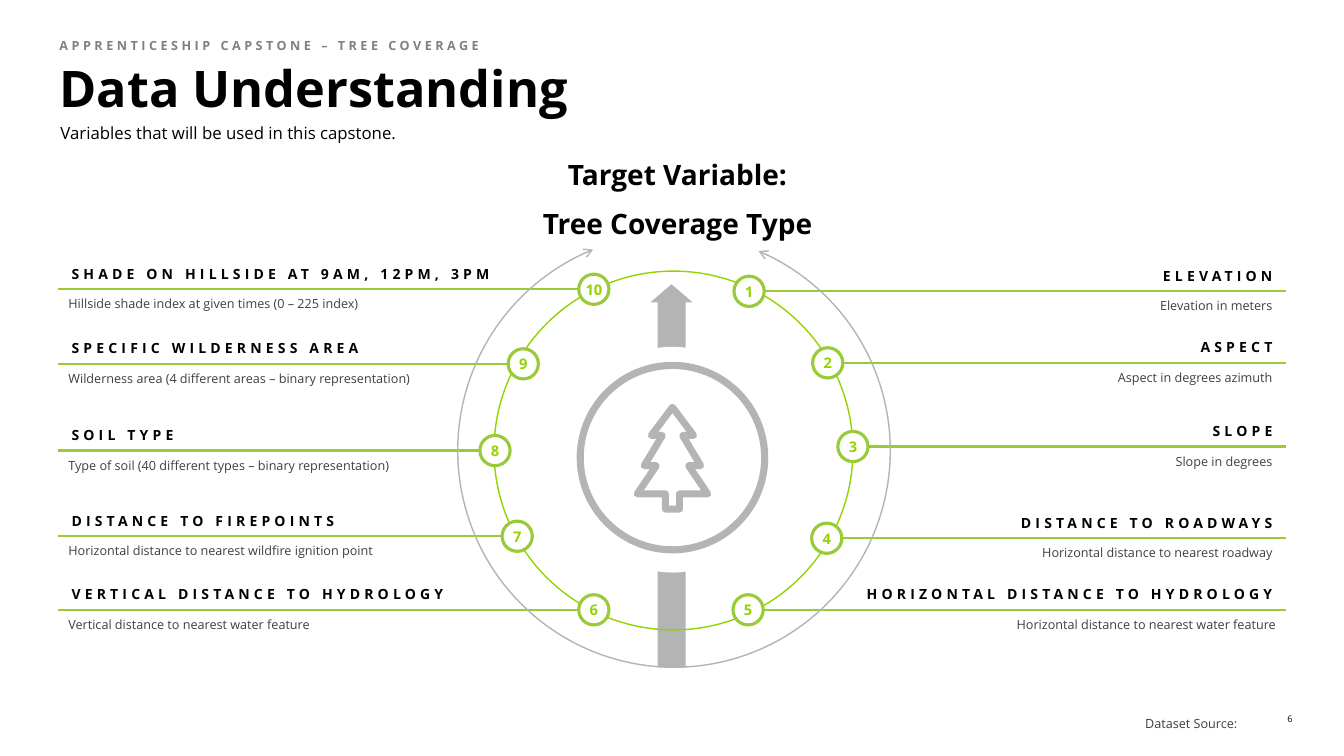
from dataclasses import dataclass

from lxml.etree import SubElement
from pptx import Presentation
from pptx.dml.color import RGBColor
from pptx.enum.shapes import MSO_CONNECTOR as Connector, MSO_SHAPE as Shape
from pptx.enum.text import MSO_ANCHOR as Anchor, MSO_AUTO_SIZE as AutoSize, PP_ALIGN as Align
from pptx.oxml.ns import qn
from pptx.util import Inches, Pt

KICKER = "APPRENTICESHIP CAPSTONE – TREE COVERAGE"
TITLE = "Data Understanding"
SUBTITLE = "Variables that will be used in this capstone."
TARGET = ["Target Variable:", "Tree Coverage Type"]
SOURCE = "Dataset Source:"
PAGE = "6"

# number, heading, description, badge centre column, row
RIGHT_VARIABLES = [
    ("1", "ELEVATION", "Elevation in meters ", 743, 289),
    ("2", "ASPECT", "Aspect in degrees azimuth ", 821, 360),
    ("3", "SLOPE", "Slope in degrees ", 846, 443),
    ("4", "DISTANCE TO ROADWAYS", "Horizontal distance to nearest roadway ", 820, 534),
    ("5", "HORIZONTAL DISTANCE TO HYDROLOGY", "Horizontal distance to nearest water feature", 742, 605),
]
LEFT_VARIABLES = [
    ("10", "SHADE ON HILLSIDE AT 9AM, 12PM, 3PM", "Hillside shade index at given times (0 – 225 index)", 589, 287),
    ("9", "SPECIFIC WILDERNESS AREA", "Wilderness area (4 different areas – binary representation)", 519, 361),
    ("8", "SOIL TYPE", "Type of soil (40 different types – binary representation)", 491, 447),
    ("7", "DISTANCE TO FIREPOINTS", "Horizontal distance to nearest wildfire ignition point", 513, 532),
    ("6", "VERTICAL DISTANCE TO HYDROLOGY", "Vertical distance to nearest water feature", 589, 605),
]
TREE_AXIS = 667
TREE_HALF = [(0, 404), (21, 432), (10, 432), (28, 462), (16, 462), (35, 490), (7, 490), (7, 505)]


@dataclass(frozen=True)
class Theme:
    font: str = "Open Sans"
    black: str = "000000"
    white: str = "FFFFFF"
    slate: str = "3F3F3F"
    gray: str = "808080"
    silver: str = "B4B4B4"
    green: str = "99CB38"
    lime: str = "92D400"
    title: float = 36
    target: float = 20
    subtitle: float = 12
    badge: float = 10.5
    heading: float = 10
    body: float = 9
    page: float = 6.5


THEME = Theme()
COLUMNS, ROWS = 1333, 750
LEFT_EDGE, RIGHT_EDGE = 58, 1275
BADGE = 30
HEADING_WIDTH, DESCRIPTION_WIDTH = 460, 409

deck = Presentation()
deck.slide_width, deck.slide_height = Inches(13.33), Inches(7.5)
slide = deck.slides.add_slide(deck.slide_layouts[5])
shapes = slide.shapes


def across(columns):
    return round(deck.slide_width * columns / COLUMNS)


def down(rows):
    return round(deck.slide_height * rows / ROWS)


def area(left, top, width, height):
    return across(left), down(top), across(width), down(height)


def apply(target, values):
    for name, value in values.items():
        setattr(target, name, value)


def write(frame, lines, size, color, bold=False, spacing=0, inset=(0, 0), anchor=Anchor.TOP, wrap=True, **paragraph_format):
    side, edge = across(inset[0]), down(inset[1])
    apply(frame, dict(word_wrap=wrap, auto_size=AutoSize.NONE, vertical_anchor=anchor,
                      margin_left=side, margin_right=side, margin_top=edge, margin_bottom=edge))
    for index, line in enumerate(lines):
        paragraph = frame.paragraphs[0] if index == 0 else frame.add_paragraph()
        apply(paragraph, paragraph_format)
        run = paragraph.add_run()
        run.text = line
        apply(run.font, dict(name=THEME.font, size=Pt(size), bold=bold))
        run.font.color.rgb = RGBColor.from_string(color)
        if spacing:
            run._r.get_or_add_rPr().set("spc", str(round(spacing * 100)))


def add_text(box, lines, size, color, **options):
    write(shapes.add_textbox(*area(*box)).text_frame, lines, size, color, **options)


def paint(shape, fill=None, line=None, width=1):
    shape.shadow.inherit = False
    for part, color in ((shape.fill, fill), (shape.line.fill, line)):
        if color:
            part.solid()
            part.fore_color.rgb = RGBColor.from_string(color)
        else:
            part.background()
    if line:
        shape.line.width = Pt(width)


def add_shape(kind, box, adjustments=(), **style):
    shape = shapes.add_shape(kind, *area(*box))
    for index, value in enumerate(adjustments):
        shape.adjustments[index] = value
    paint(shape, **style)
    return shape


def add_rule(start, end, row):
    rule = shapes.add_connector(Connector.STRAIGHT, across(start), down(row), across(end), down(row))
    rule.line.color.rgb = RGBColor.from_string(THEME.green)
    rule.line.width = Pt(1.5)
    SubElement(rule._element.spPr, qn("a:effectLst"))


def add_variable(variable, edge, direction, align):
    number, heading, description, column, row = variable
    add_rule(edge, column + direction * BADGE / 2, row)
    for words, width, height, rise, style in (
        (heading, HEADING_WIDTH, 30, 31,
         dict(size=THEME.heading, color=THEME.black, bold=True, spacing=3, inset=(13, 7))),
        (description, DESCRIPTION_WIDTH, 27, 1,
         dict(size=THEME.body, color=THEME.slate, inset=(10, 5), line_spacing=Pt(13), space_after=Pt(3))),
    ):
        left = edge if direction < 0 else edge - width
        add_text((left, row - rise, width, height), [words], alignment=align, **style)


def add_badge(number, column, row):
    badge = add_shape(Shape.OVAL, (column - BADGE / 2, row - BADGE / 2, BADGE, BADGE),
                      fill=THEME.white, line=THEME.green, width=2.25)
    write(badge.text_frame, [number], THEME.badge, THEME.lime, bold=True,
          anchor=Anchor.MIDDLE, wrap=False, alignment=Align.CENTER)


title = shapes.title
apply(title, dict(zip(("left", "top", "width", "height"), area(59, 61, 1231, 55))))
write(title.text_frame, [TITLE], THEME.title, THEME.black, bold=True,
      anchor=Anchor.BOTTOM, alignment=Align.LEFT, line_spacing=0.8)
add_text((59, 38, 514, 19), [KICKER], THEME.body, THEME.gray, bold=True, spacing=2.5)
add_text((60, 122, 1235, 52), [SUBTITLE], THEME.subtitle, THEME.black)

for variables, edge, direction, align in (
    (RIGHT_VARIABLES, RIGHT_EDGE, 1, Align.RIGHT),
    (LEFT_VARIABLES, LEFT_EDGE, -1, Align.LEFT),
):
    for variable in variables:
        add_variable(variable, edge, direction, align)

trunk = add_shape(Shape.DOWN_ARROW, (645, 282, 42, 380), (0.662, 0.428), fill=THEME.silver)
trunk.rotation = 180
orbit = add_shape(Shape.ARC, (454, 232, 429, 430), (175.775, 148.847), line=THEME.silver)
for end in ("a:headEnd", "a:tailEnd"):
    SubElement(orbit.line._get_or_add_ln(), qn(end), type="arrow")
add_shape(Shape.ARC, (490, 269, 356, 356), (186.389, 186.302), line=THEME.lime)
add_shape(Shape.OVAL, (566, 344, 202, 224), fill=THEME.white)
add_shape(Shape.DONUT, (572, 359, 190, 190), (0.037,), fill=THEME.silver)

for number, _, _, column, row in RIGHT_VARIABLES + LEFT_VARIABLES:
    add_badge(number, column, row)

outline = [(TREE_AXIS + offset, row) for offset, row in TREE_HALF]
outline += [(TREE_AXIS - offset, row) for offset, row in TREE_HALF[:0:-1]]
points = [(across(column), down(row)) for column, row in outline]
builder = shapes.build_freeform(*points[0])
builder.add_line_segments(points[1:], close=True)
tree = builder.convert_to_shape()
paint(tree, line=THEME.silver, width=5)
SubElement(tree.line._get_or_add_ln(), qn("a:round"))

add_text((524, 159, 296, 69), TARGET, THEME.target, THEME.black, bold=True, inset=(10, 5),
         anchor=Anchor.MIDDLE, alignment=Align.CENTER, line_spacing=1.2, space_after=Pt(6))
add_text((1126, 702, 115, 27), [SOURCE], THEME.body, THEME.slate, inset=(10, 5),
         line_spacing=Pt(13), space_after=Pt(3))
add_text((1248, 708, 34, 11), [PAGE], THEME.page, THEME.black, alignment=Align.RIGHT)

deck.save("out.pptx")
